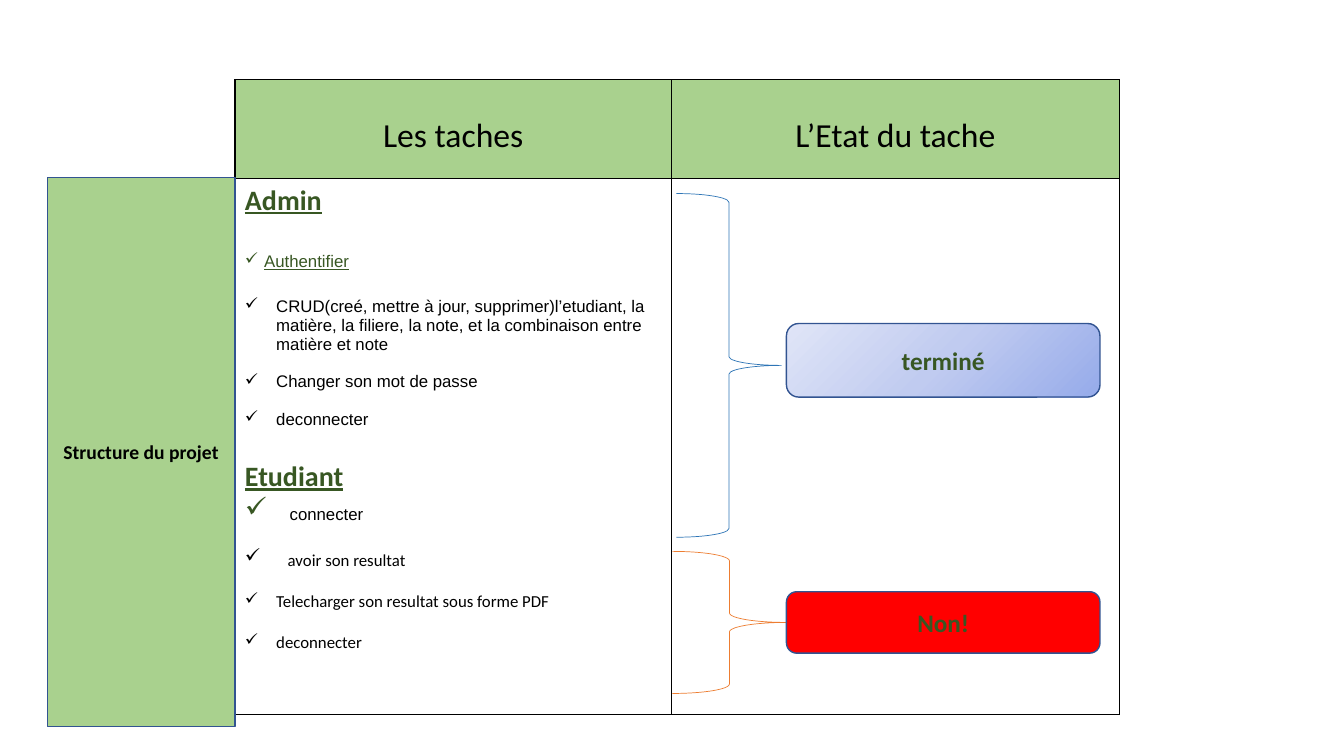
from pptx import Presentation
from pptx import util as u
from pptx.dml.color import RGBColor
from pptx.enum import shapes, text
from pptx.oxml import parse_xml
from pptx.oxml.ns import nsdecls

GREEN, DARK_GREEN, BLACK, NAVY = "A9D18E", "385723", "000000", "325491"

HEADERS = ["Les taches", "L’Etat du tache"]
COLUMNS = [4.33, 4.44]
ROWS = [0.98, 5.32]

# text, space before (pt), indent (in), font, colour, size of leading space
# Headings have no indent.
TASKS = [
    ("Admin", 0, None, "Calibri", DARK_GREEN, None),
    ("Authentifier", 24.4, 0.19, "Arial", DARK_GREEN, None),
    ("CRUD(creé, mettre à jour, supprimer)l’etudiant, la matière, la filiere, "
     "la note, et la combinaison entre matière et note", 19, 0.31, "Arial", BLACK, None),
    ("Changer son mot de passe", 13.5, 0.31, "Arial", BLACK, None),
    ("deconnecter", 13.5, 0.31, "Arial", BLACK, None),
    ("Etudiant", 22, None, "Calibri", DARK_GREEN, None),
    ("connecter", 0, 0.38, "Arial", BLACK, 20),
    ("avoir son resultat", 13.5, 0.38, "Calibri", BLACK, 14),
    ("Telecharger son resultat sous forme PDF", 14.6, 0.31, "Calibri", BLACK, None),
    ("deconnecter", 14.6, 0.31, "Calibri", BLACK, None),
]

# left, top, width, height, line colour
BRACES = [(6.71, 1.92, 1.04, 3.41, "2E75B6"), (6.67, 5.47, 1.13, 1.41, "ED7D31")]

SHAPE = shapes.MSO_SHAPE
# preset, left, top, width, height, fill, label, size, text colour
BOXES = [
    (SHAPE.RECTANGLE, 0.47, 1.76, 1.86, 5.45, GREEN, "Structure du projet", 14, BLACK),
    (SHAPE.ROUNDED_RECTANGLE, 7.8, 3.21, 3.11, 0.73,
     ["96ABEA", "C0CBF0", "E0E5F7"], "terminé", 18, DARK_GREEN),
    (SHAPE.ROUNDED_RECTANGLE, 7.8, 5.87, 3.11, 0.61, "FF0000", "Non!", 18, DARK_GREEN),
]


def rgb(color):
    return RGBColor.from_string(color)


def style(font, name, size, color, bold=False, underline=False):
    font.name, font.size, font.color.rgb = name, u.Pt(size), rgb(color)
    font.bold, font.underline = bold, underline


def paint(fill, color):
    fill.solid()
    fill.fore_color.rgb = rgb(color)


def add_borders(cell):
    props = cell._tc.get_or_add_tcPr()
    for place, side in enumerate(("lnL", "lnR", "lnT", "lnB")):
        props.insert(place, parse_xml(
            f'<a:{side} {nsdecls("a")} w="12700"><a:solidFill>'
            f'<a:srgbClr val="{BLACK}"/></a:solidFill></a:{side}>'))


def add_check(para, indent):
    props = para._p.get_or_add_pPr()
    props.set("marL", str(u.Inches(indent)))
    props.set("indent", str(-u.Inches(indent)))
    props.append(parse_xml(f'<a:buChar {nsdecls("a")} char="✓"/>'))


def add_radial_fill(box, colors):
    """Fill with evenly spaced colours spreading from the bottom right corner."""
    step = 100000 // (len(colors) - 1)
    stops = "".join(f'<a:gs pos="{i * step}"><a:srgbClr val="{color}"/></a:gs>'
                    for i, color in enumerate(colors))
    box._element.spPr.find(".//{*}prstGeom").addnext(parse_xml(
        f'<a:gradFill {nsdecls("a")}><a:gsLst>{stops}</a:gsLst><a:path path="circle">'
        '<a:fillToRect l="100000" t="100000"/></a:path></a:gradFill>'))


def add_outlined(slide, preset, frame, color, width):
    shape = slide.shapes.add_shape(preset, *map(u.Inches, frame))
    shape.shadow.inherit = False
    shape.line.color.rgb = rgb(color)
    shape.line.width = u.Pt(width)
    return shape


def add_task_table(slide):
    frame = slide.shapes.add_table(2, 2, *map(u.Inches, (2.33, 0.79, sum(COLUMNS), sum(ROWS))))
    table = frame.table
    table.first_row = table.horz_banding = False
    for column, width in zip(table.columns, COLUMNS):
        column.width = u.Inches(width)
    for row, height in zip(table.rows, ROWS):
        row.height = u.Inches(height)
    for cell in table.iter_cells():
        cell.fill.background()
        add_borders(cell)
    for cell, header in zip(table.rows[0].cells, HEADERS):
        paint(cell.fill, GREEN)
        cell.margin_top = u.Inches(0.36)
        para = cell.text_frame.paragraphs[0]
        para.text = header
        para.alignment = text.PP_ALIGN.CENTER
        style(para.runs[0].font, "Calibri", 24, BLACK)
    fill_tasks(table.cell(1, 0).text_frame)


def fill_tasks(body):
    for i, (task, gap, indent, font, color, lead_size) in enumerate(TASKS):
        para = body.paragraphs[0] if i == 0 else body.add_paragraph()
        para.space_before = u.Pt(gap)
        heading = indent is None
        if not heading:
            add_check(para, indent)
        if lead_size:
            lead = para.add_run()
            lead.text = " "
            style(lead.font, "Calibri", lead_size,
                  DARK_GREEN if lead_size == 20 else BLACK, bold=True)
        span = para.add_run()
        span.text = task
        style(span.font, font, 20 if heading else 12, color,
              bold=heading, underline=color == DARK_GREEN)


def add_box(slide, preset, left, top, width, height, fill, label, size, color):
    box = add_outlined(slide, preset, (left, top, width, height), NAVY, 1)
    if isinstance(fill, list):
        add_radial_fill(box, fill)
    else:
        paint(box.fill, fill)
    box.text_frame.vertical_anchor = text.MSO_ANCHOR.MIDDLE
    para = box.text_frame.paragraphs[0]
    para.text = label
    para.alignment = text.PP_ALIGN.CENTER
    style(para.font, "Calibri", size, color, bold=True)


def main():
    deck = Presentation()
    deck.slide_width, deck.slide_height = u.Inches(13.33), u.Inches(7.5)
    slide = deck.slides.add_slide(deck.slide_layouts[6])
    add_task_table(slide)
    for *frame, color in BRACES:
        brace = add_outlined(slide, SHAPE.RIGHT_BRACE, frame, color, 0.5)
        brace.fill.background()
    for box in BOXES:
        add_box(slide, *box)
    deck.save("out.pptx")


if __name__ == "__main__":
    main()
